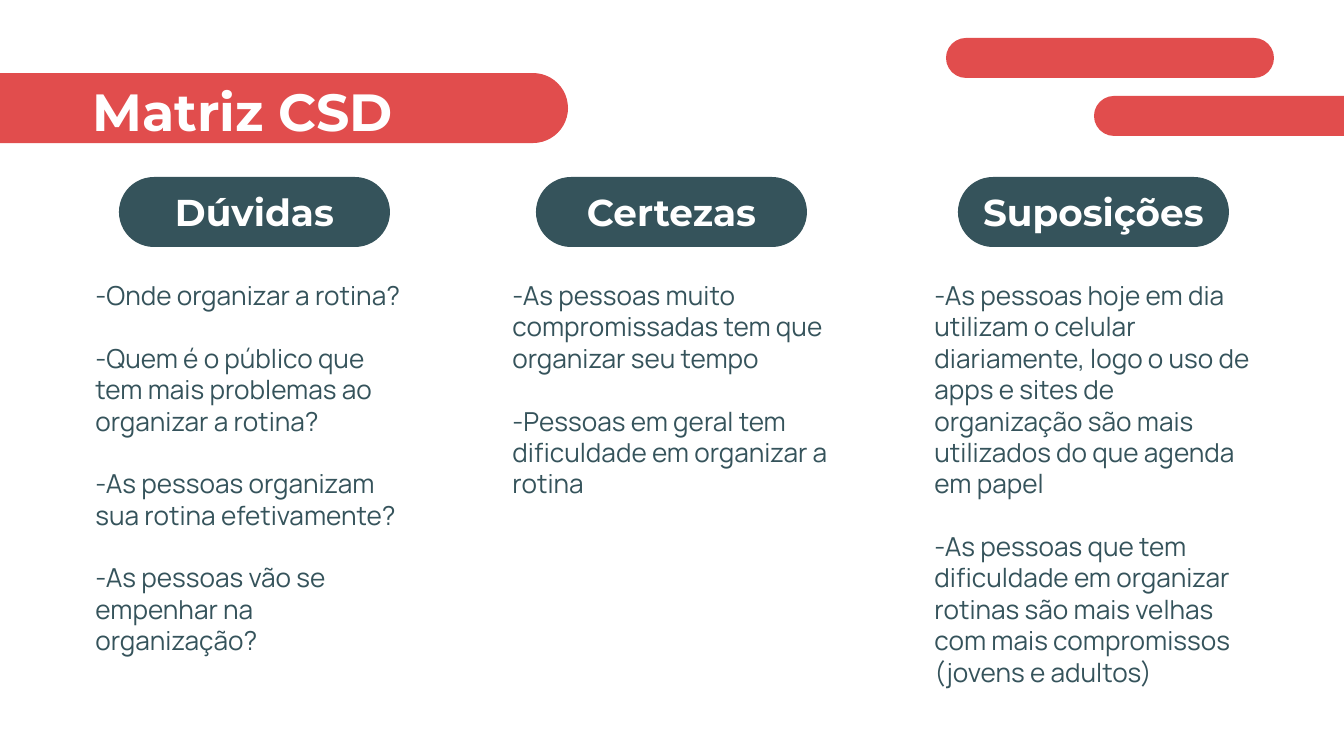
from pptx import Presentation
from pptx import util as u
from pptx.dml.color import RGBColor
from pptx.enum import shapes, text
from pptx.oxml import parse_xml
from pptx.oxml.ns import nsdecls

COLORS = {"coral": "E14D4D", "teal": "35535B", "white": "FFFFFF"}
PX = 914400 / 134.4

# Column left edge, heading and statements
COLUMNS = [
    (82, "Dúvidas", [
        "-Onde organizar a rotina?",
        "-Quem é o público que tem mais problemas ao organizar a rotina?",
        "-As pessoas organizam sua rotina efetivamente?",
        "-As pessoas vão se empenhar na organização?",
    ]),
    (499, "Certezas", [
        "-As pessoas muito compromissadas tem que organizar seu tempo",
        "-Pessoas em geral tem dificuldade em organizar a rotina",
    ]),
    (921, "Suposições", [
        "-As pessoas hoje em dia utilizam o celular diariamente, logo o uso de "
        "apps e sites de organização são mais utilizados do que agenda em papel",
        "-As pessoas que tem dificuldade em organizar rotinas são mais velhas "
        "com mais compromissos (jovens e adultos)",
    ]),
]
COLUMN_WIDTH, PILL_WIDTH = 347, 271


def px(length):
    return u.Emu(round(length * PX))


def color(name):
    return RGBColor.from_string(COLORS[name])


def add_pill(slide, left, top, width, height, fill):
    pill = slide.shapes.add_shape(
        shapes.MSO_SHAPE.ROUNDED_RECTANGLE, *map(px, (left, top, width, height)))
    pill.adjustments[0] = 0.5
    pill.shadow.inherit = False
    pill.fill.solid()
    pill.fill.fore_color.rgb = color(fill)
    pill.line.fill.background()
    return pill


def place(holder, left, top, width, height):
    holder.left, holder.top, holder.width, holder.height = map(
        px, (left, top, width, height))


def set_frame(frame, anchor):
    frame.word_wrap = True
    frame.auto_size = text.MSO_AUTO_SIZE.NONE
    frame.vertical_anchor = anchor
    frame.margin_left = frame.margin_right = u.Inches(0.1)
    frame.margin_top = frame.margin_bottom = u.Inches(0.1)


def add_run(paragraph, words, font, size, ink, bold, align):
    paragraph.alignment = align
    run = paragraph.add_run()
    run.text = words
    run.font.name = font
    run.font.size = u.Pt(size)
    run.font.bold = bold
    run.font.color.rgb = color(ink)


def fill_title(slide):
    title = slide.shapes.title
    place(title, 79, 66, 591, 85)
    set_frame(title.text_frame, text.MSO_ANCHOR.TOP)
    add_run(title.text_frame.paragraphs[0], "Matriz CSD", "Montserrat", 28,
            "white", True, text.PP_ALIGN.LEFT)
    slide.shapes.element.append(title.element)  # in front of its bar


def fill_statements(holder, left, statements):
    place(holder, left, 266, COLUMN_WIDTH, 480)
    frame = holder.text_frame
    set_frame(frame, text.MSO_ANCHOR.TOP)
    for number, statement in enumerate(statements):
        paragraph = frame.add_paragraph() if number else frame.paragraphs[0]
        paragraph.space_before = u.Pt(16.8 if number else 0)
        paragraph.space_after = u.Pt(0)
        paragraph.line_spacing = 1.0
        add_run(paragraph, statement, "Manrope", 14, "teal", False,
                text.PP_ALIGN.LEFT)
        # No bullet and no hanging indent
        properties = paragraph._p.get_or_add_pPr()
        properties.set("marL", "0")
        properties.set("indent", "0")
        properties.append(parse_xml(f"<a:buNone {nsdecls('a')}/>"))


def add_heading(slide, left, heading):
    pill = add_pill(slide, left + (COLUMN_WIDTH - PILL_WIDTH) // 2 - 1, 177,
                    PILL_WIDTH, 70, "teal")
    set_frame(pill.text_frame, text.MSO_ANCHOR.MIDDLE)
    add_run(pill.text_frame.paragraphs[0], heading, "Montserrat", 20, "white",
            True, text.PP_ALIGN.CENTER)


def main():
    deck = Presentation()
    deck.slide_width, deck.slide_height = px(1344), px(756)
    slide = deck.slides.add_slide(deck.slide_layouts[4])
    bodies = [p for p in slide.placeholders if p.placeholder_format.idx]

    # Corner bars and title bar
    add_pill(slide, 946, 38, 328, 40, "coral")
    add_pill(slide, 1094, 96, 328, 40, "coral")
    add_pill(slide, -56, 73, 624, 70, "coral")
    fill_title(slide)

    # Matrix columns
    for body, (left, heading, statements) in zip(bodies, COLUMNS):
        fill_statements(body, left, statements)
        add_heading(slide, left, heading)
    for spare in bodies[len(COLUMNS):]:
        spare.element.getparent().remove(spare.element)

    deck.save("out.pptx")


if __name__ == "__main__":
    main()
